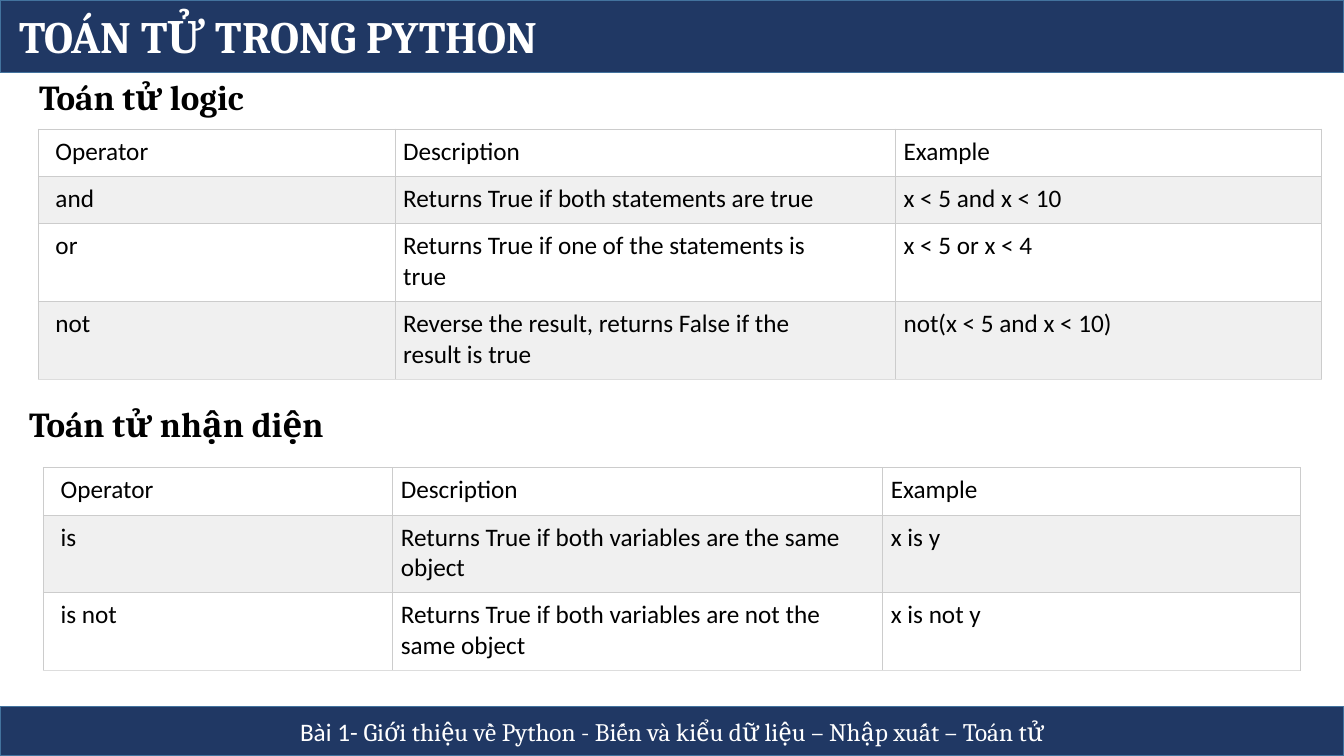
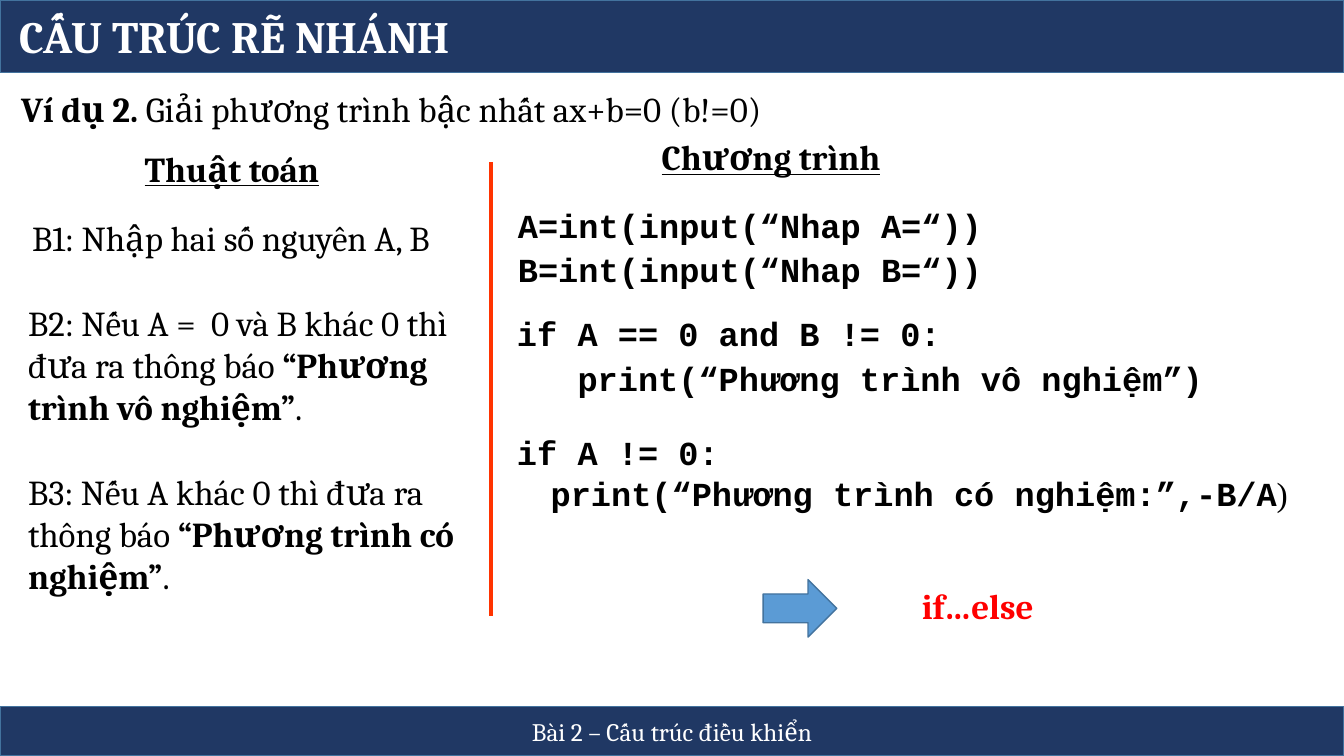
"""Build two Python lesson slides: operator tables and a branching example."""
from dataclasses import dataclass, replace
from typing import Optional

from lxml.etree import SubElement
from pptx import Presentation
from pptx.dml.color import RGBColor
from pptx.enum.shapes import MSO_CONNECTOR, MSO_SHAPE
from pptx.enum.text import MSO_ANCHOR, PP_ALIGN
from pptx.oxml import parse_xml
from pptx.oxml.ns import nsdecls, qn
from pptx.util import Inches, Pt

SLIDE_WIDTH, SLIDE_HEIGHT = Inches(13.33), Inches(7.5)
NAVY, EDGE, ARROW_BLUE = "203864", "43739E", "5B9BD5"
WHITE, BLACK, RED, DIVIDER_RED = "FFFFFF", "000000", "FF0000", "FF3300"
STRIPE, GRID, GRID_BOTTOM = "F0F0F0", "CCCCCC", "DDDDDD"
COLUMN_SHARES = (0.278, 0.39, 0.332)
ROW_PADDING, ROW_LINE = 2.27, 4


@dataclass(frozen=True)
class Area:
    """A place on the slide, in percent of its width and height."""
    left: float
    top: float
    width: float
    height: float


@dataclass(frozen=True)
class Style:
    """The look of a paragraph."""
    font: str = "Cambria"
    size: float = 25
    color: str = BLACK
    bold: bool = False
    underline: bool = False
    align: PP_ALIGN = PP_ALIGN.LEFT
    spacing: Optional[float] = None


@dataclass(frozen=True)
class Span:
    """A piece of a paragraph that may depart from its style."""
    text: str
    bold: Optional[bool] = None
    font: Optional[str] = None


@dataclass(frozen=True)
class Line:
    """A paragraph made of spans in one style."""
    style: Style
    spans: tuple[Span, ...]


@dataclass(frozen=True)
class TextBlock:
    """Paragraphs and the area they fill."""
    area: Area
    lines: tuple[Line, ...]
    anchor: MSO_ANCHOR = MSO_ANCHOR.TOP


@dataclass(frozen=True)
class OperatorTable:
    """Operators with the wrap margin of their descriptions."""
    left: float
    top: float
    width: float
    wrap_margin: float
    rows: tuple[tuple[str, str, str], ...]
    row_lines: tuple[int, ...]


BODY = Style()
HEADING = Style(bold=True)
TITLE = Style(size=32, color=WHITE, bold=True)
FOOTER = Style(size=18, color=WHITE, align=PP_ALIGN.CENTER)
COLUMN_HEADING = Style(bold=True, underline=True, align=PP_ALIGN.CENTER)
CONCLUSION = Style(color=RED, bold=True, align=PP_ALIGN.CENTER)
CODE = Style(font="Courier New", size=24, bold=True, spacing=1.1)
CELL = Style(font="Calibri", size=18)

HEADER_AREA = Area(0, 0, 100, 9.6)
TITLE_AREA = Area(0.68, 0.53, 99, 8.53)
FOOTER_AREA = Area(0, 93.47, 100, 6.53)
TABLE_HEADER = ("Operator", "Description", "Example")


def across(percent: float) -> int:
    """Turn a share of the slide's width into a length."""
    return round(SLIDE_WIDTH * percent / 100)


def down(percent: float) -> int:
    """Turn a share of the slide's height into a length."""
    return round(SLIDE_HEIGHT * percent / 100)


def box(area: Area) -> tuple[int, int, int, int]:
    """Turn an area into left, top, width and height."""
    return across(area.left), down(area.top), across(area.width), down(area.height)


def rgb(color: str) -> RGBColor:
    """Read a hex colour."""
    return RGBColor.from_string(color)


def line(style: Style, *pieces: str | Span) -> Line:
    """Make a paragraph from plain text and spans."""
    return Line(style, tuple(p if isinstance(p, Span) else Span(p) for p in pieces))


def write(frame, lines: tuple[Line, ...]) -> None:
    """Fill a text frame with paragraphs."""
    frame.word_wrap = True
    for index, entry in enumerate(lines):
        paragraph = frame.add_paragraph() if index else frame.paragraphs[0]
        style = entry.style
        paragraph.alignment = style.align
        if style.spacing:
            paragraph.line_spacing = style.spacing
        font = paragraph.font
        font.name, font.size = style.font, Pt(style.size)
        font.bold, font.underline = style.bold, style.underline
        font.color.rgb = rgb(style.color)
        for span in entry.spans:
            run = paragraph.add_run()
            run.text = span.text
            if span.bold is not None:
                run.font.bold = span.bold
            if span.font:
                run.font.name = span.font


def add_text(slide, block: TextBlock) -> None:
    """Add a text box."""
    frame = slide.shapes.add_textbox(*box(block.area)).text_frame
    frame.vertical_anchor = block.anchor
    write(frame, block.lines)


def add_filled(slide, kind: MSO_SHAPE, area: Area, color: str):
    """Add an outlined shape with a plain fill."""
    shape = slide.shapes.add_shape(kind, *box(area))
    shape.shadow.inherit = False
    shape.fill.solid()
    shape.fill.fore_color.rgb = rgb(color)
    shape.line.color.rgb = rgb(EDGE)
    shape.line.width = Pt(1)
    return shape


def add_lesson_slide(deck, title: str, footer: Line):
    """Add a slide with the shared bands, title and footer."""
    slide = deck.slides.add_slide(deck.slide_layouts[6])
    footer_band = add_filled(slide, MSO_SHAPE.RECTANGLE, FOOTER_AREA, NAVY)
    footer_band.text_frame.vertical_anchor = MSO_ANCHOR.MIDDLE
    write(footer_band.text_frame, (footer,))
    add_filled(slide, MSO_SHAPE.RECTANGLE, HEADER_AREA, NAVY)
    add_text(slide, TextBlock(TITLE_AREA, (line(TITLE, title),)))
    return slide


def add_borders(cell, bottom: str) -> None:
    """Draw thin lines on the four sides of a cell."""
    properties = cell._tc.get_or_add_tcPr()
    for index, (side, color) in enumerate(
        (("lnL", GRID), ("lnR", GRID), ("lnT", GRID), ("lnB", bottom))
    ):
        properties.insert(index, parse_xml(
            f'<a:{side} {nsdecls("a")} w="{Pt(0.75)}"><a:solidFill>'
            f'<a:srgbClr val="{color}"/></a:solidFill></a:{side}>'
        ))


def add_operator_table(slide, content: OperatorTable) -> None:
    """Add a striped operator table."""
    heights = [ROW_PADDING + ROW_LINE * count for count in content.row_lines]
    area = Area(content.left, content.top, content.width, sum(heights))
    table = slide.shapes.add_table(
        len(content.rows), len(COLUMN_SHARES), *box(area)).table
    table.first_row = table.horz_banding = False
    for column, share in zip(table.columns, COLUMN_SHARES):
        column.width = across(content.width * share)
    for row_index, (values, height) in enumerate(zip(content.rows, heights)):
        table.rows[row_index].height = down(height)
        is_last = row_index == len(content.rows) - 1
        for column_index, value in enumerate(values):
            cell = table.cell(row_index, column_index)
            cell.margin_left = across(0.6 if column_index else 1.28)
            cell.margin_right = across(content.wrap_margin if column_index == 1 else 0)
            cell.margin_top, cell.margin_bottom = down(0.93), 0
            if row_index % 2:
                cell.fill.solid()
                cell.fill.fore_color.rgb = rgb(STRIPE)
            else:
                cell.fill.background()
            add_borders(cell, GRID_BOTTOM if is_last else GRID)
            write(cell.text_frame, (line(CELL, value),))


def add_divider(slide, left: float, top: float, bottom: float) -> None:
    """Add the upright line between the two columns."""
    divider = slide.shapes.add_connector(
        MSO_CONNECTOR.STRAIGHT, across(left), down(top), across(left), down(bottom))
    divider.line.color.rgb = rgb(DIVIDER_RED)
    divider.line.width = Pt(3)
    SubElement(divider._element.spPr, qn("a:effectLst"))


def build_operators(deck) -> None:
    """Build the slide on logical and identity operators."""
    slide = add_lesson_slide(deck, "TOÁN TỬ TRONG PYTHON", line(
        FOOTER, Span("Bài 1- ", font="Calibri"),
        "Giới thiệu về Python - Biến và kiểu dữ liệu – Nhập xuất – Toán tử"))
    for area, heading in (
        (Area(2.18, 9.33, 25, 7), "Toán tử logic"),
        (Area(1.43, 52.53, 30, 7), "Toán tử nhận diện"),
    ):
        add_text(slide, TextBlock(area, (line(HEADING, heading),)))
    add_operator_table(slide, OperatorTable(2.85, 17.07, 95.48, 4.5, (
        TABLE_HEADER,
        ("and", "Returns True if both statements are true", "x < 5 and x < 10"),
        ("or", "Returns True if one of the statements is true", "x < 5 or x < 4"),
        ("not", "Reverse the result, returns False if the result is true",
         "not(x < 5 and x < 10)"),
    ), (1, 1, 2, 2)))
    add_operator_table(slide, OperatorTable(3.23, 61.87, 93.5, 2.2, (
        TABLE_HEADER,
        ("is", "Returns True if both variables are the same object", "x is y"),
        ("is not", "Returns True if both variables are not the same object",
         "x is not y"),
    ), (1, 2, 2)))


def build_branching(deck) -> None:
    """Build the slide that sets the algorithm beside its program."""
    slide = add_lesson_slide(deck, "CẤU TRÚC RẼ NHÁNH", line(
        FOOTER, "Bài 2 – Cấu trúc điều khiển"))
    add_filled(slide, MSO_SHAPE.RIGHT_ARROW, Area(56.78, 76.67, 5.48, 7.6), ARROW_BLUE)
    add_divider(slide, 36.53, 21.47, 81.47)
    for block in (
        TextBlock(Area(0.83, 10.93, 98, 7), (line(
            BODY, Span("Ví dụ 2. ", bold=True),
            "Giải phương trình bậc nhất ax+b=0 (b!=0)"),)),
        TextBlock(Area(3.6, 18.8, 27.3, 6.93), (line(COLUMN_HEADING, "Thuật toán"),)),
        TextBlock(Area(42.15, 17.33, 30.45, 6.93),
                  (line(COLUMN_HEADING, "Chương trình"),)),
        TextBlock(Area(1.65, 28, 36.08, 6.93),
                  (line(BODY, "B1: Nhập hai số nguyên A, B"),)),
        TextBlock(Area(1.35, 39.2, 34.95, 18.13), (line(
            BODY, "B2: Nếu A =  0 và B khác 0 thì đưa ra thông báo ",
            Span("“Phương trình vô nghiệm”", bold=True), "."),)),
        TextBlock(Area(1.35, 61.6, 34.95, 18.13), (line(
            BODY, "B3: Nếu A khác 0 thì đưa ra thông báo ",
            Span("“Phương trình có nghiệm”", bold=True), "."),)),
        TextBlock(Area(37.8, 25.87, 60.83, 13.07), (
            line(CODE, "A=int(input(“Nhap A=“))"),
            line(CODE, "B=int(input(“Nhap B=“))"))),
        TextBlock(Area(37.73, 40.27, 60.83, 13.07), (
            line(CODE, "if A == 0 and B != 0:"),
            line(CODE, "   print(“Phương trình vô nghiệm”)"))),
        TextBlock(Area(37.73, 56, 60.6, 12.67), (
            line(CODE, "if A != 0:"),
            line(replace(CODE, spacing=None),
                 Span("    ", False, "Times New Roman"),
                 "print(“Phương trình có nghiệm:”,-B/A",
                 Span(")", False, "Times New Roman")))),
        TextBlock(Area(63, 76.67, 19.5, 6.8), (line(CONCLUSION, "if…else"),),
                  MSO_ANCHOR.MIDDLE),
    ):
        add_text(slide, block)


def main() -> None:
    """Build and save the presentation."""
    deck = Presentation()
    deck.slide_width, deck.slide_height = SLIDE_WIDTH, SLIDE_HEIGHT
    build_operators(deck)
    build_branching(deck)
    deck.save("out.pptx")


if __name__ == "__main__":
    main()
